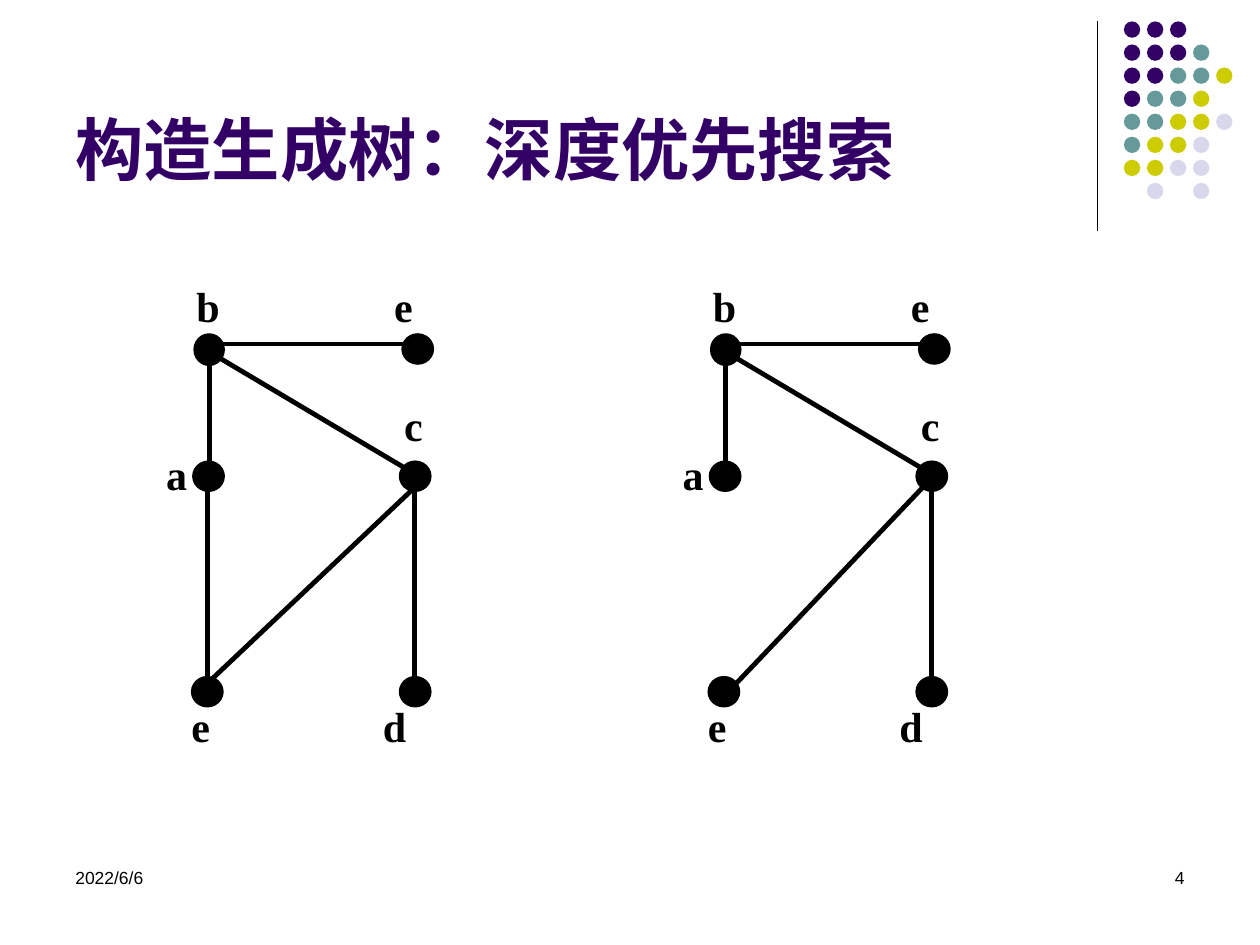
import pptx
import pptx.util
import pptx.dml.color
import pptx.enum.shapes
import pptx.enum.text
import pptx.oxml.ns
import lxml.etree

Inches = pptx.util.Inches
Pt = pptx.util.Pt
RGBColor = pptx.dml.color.RGBColor
Anchor = pptx.enum.text.MSO_ANCHOR
Align = pptx.enum.text.PP_ALIGN

BLACK = RGBColor(0x00, 0x00, 0x00)
PURPLE = RGBColor(0x33, 0x00, 0x66)
TEAL = RGBColor(0x66, 0x99, 0x99)
OLIVE = RGBColor(0xCC, 0xCC, 0x00)
LAVENDER = RGBColor(0xD8, 0xD8, 0xEC)

# Corner ornament: one letter per dot, a space for a gap
DOT_COLORS = {"P": PURPLE, "T": TEAL, "O": OLIVE, "L": LAVENDER}
DOT_ROWS = ["PPP", "PPPT", "PPTTO", "PTTO", "TTOOL", "TOOL", "OOLL", " L L"]
DOT_PITCH = 0.183

# Graph geometry, measured from the left graph
GRAPH_SHIFT = 4.1
NODES = [  # left, top, width, height
    (1.53, 3.66, 0.25, 0.24),
    (3.17, 3.66, 0.25, 0.24),
    (3.17, 5.37, 0.25, 0.24),
    (1.52, 5.37, 0.25, 0.24),
    (1.54, 2.65, 0.24, 0.25),
    (3.19, 2.65, 0.25, 0.24),
]
LABELS = [  # text, left, top, width, height
    ("a", 1.22, 3.51, 0.59, 0.66),
    ("b", 1.46, 2.18, 0.59, 0.5),
    ("c", 3.11, 3.12, 0.51, 0.5),
    ("d", 2.94, 5.51, 0.59, 0.66),
    ("e", 1.42, 5.51, 0.59, 0.66),
    ("e", 3.03, 2.18, 0.51, 0.5),
]
SHARED_EDGES = [  # x1, y1, x2, y2
    (1.66, 3.68, 1.66, 2.88),
    (1.69, 2.81, 3.29, 3.76),
    (3.29, 3.87, 3.29, 5.4),
    (3.27, 2.73, 1.77, 2.73),
]
CYCLE_EDGES = [(3.29, 3.87, 1.65, 5.42), (1.65, 3.87, 1.65, 5.4)]
TREE_EDGES = [(3.26, 3.83, 1.69, 5.48)]


class SlideBuilder:
    def __init__(self, slide):
        self.slide = slide
        self.heading_font = "Arial"
        self.label_font = "Times New Roman"

    def line(self, x1, y1, x2, y2, width):
        connector = self.slide.shapes.add_connector(
            pptx.enum.shapes.MSO_CONNECTOR.STRAIGHT,
            Inches(x1), Inches(y1), Inches(x2), Inches(y2))
        connector.line.color.rgb = BLACK
        connector.line.width = Pt(width)
        properties = connector.element.spPr
        lxml.etree.SubElement(properties, pptx.oxml.ns.qn("a:effectLst"))

    def dot(self, left, top, width, height, color, outlined=False):
        shape = self.slide.shapes.add_shape(
            pptx.enum.shapes.MSO_SHAPE.OVAL,
            Inches(left), Inches(top), Inches(width), Inches(height))
        shape.shadow.inherit = False
        shape.fill.solid()
        shape.fill.fore_color.rgb = color
        if outlined:
            shape.line.color.rgb = color
            shape.line.width = Pt(0.75)
        else:
            shape.line.fill.background()

    def text(self, text, left, top, width, height, size, font, color=BLACK,
             bold=False, align=Align.LEFT, anchor=Anchor.TOP):
        box = self.slide.shapes.add_textbox(
            Inches(left), Inches(top), Inches(width), Inches(height))
        frame = box.text_frame
        frame.word_wrap = True
        frame.vertical_anchor = anchor
        frame.text = text
        paragraph = frame.paragraphs[0]
        paragraph.alignment = align
        run_font = paragraph.runs[0].font
        run_font.name = font
        run_font.size = Pt(size)
        run_font.bold = bold
        run_font.color.rgb = color

    def graph(self, shift, edges):
        for x1, y1, x2, y2 in edges:
            self.line(x1 + shift, y1, x2 + shift, y2, 2.75)
        for left, top, width, height in NODES:
            self.dot(left + shift, top, width, height, BLACK, outlined=True)
        for label, left, top, width, height in LABELS:
            self.text(label, left + shift, top, width, height, 24,
                      self.label_font, bold=True)


def main():
    presentation = pptx.Presentation()
    presentation.slide_width = Inches(10)
    presentation.slide_height = Inches(7.5)
    slide = presentation.slides.add_slide(presentation.slide_layouts[6])
    builder = SlideBuilder(slide)

    # Corner ornament
    builder.line(8.71, 0.17, 8.71, 1.83, 0.75)
    for row, letters in enumerate(DOT_ROWS):
        for column, letter in enumerate(letters):
            if letter in DOT_COLORS:
                builder.dot(8.92 + column * DOT_PITCH, 0.17 + row * DOT_PITCH,
                            0.13, 0.13, DOT_COLORS[letter])

    # Title
    builder.text("构造生成树：深度优先搜索", 0.5, 0.13, 8.25, 1.42, 39,
                 builder.heading_font, PURPLE, bold=True, anchor=Anchor.BOTTOM)

    # Graph on the left, its spanning tree on the right
    builder.graph(0, SHARED_EDGES + CYCLE_EDGES)
    builder.graph(GRAPH_SHIFT, SHARED_EDGES + TREE_EDGES)

    # Footer
    builder.text("2022/6/6", 0.5, 6.83, 2.33, 0.5, 10, builder.heading_font)
    builder.text("4", 7.17, 6.83, 2.33, 0.5, 10, builder.heading_font,
                 align=Align.RIGHT)

    presentation.save("out.pptx")


if __name__ == "__main__":
    main()
